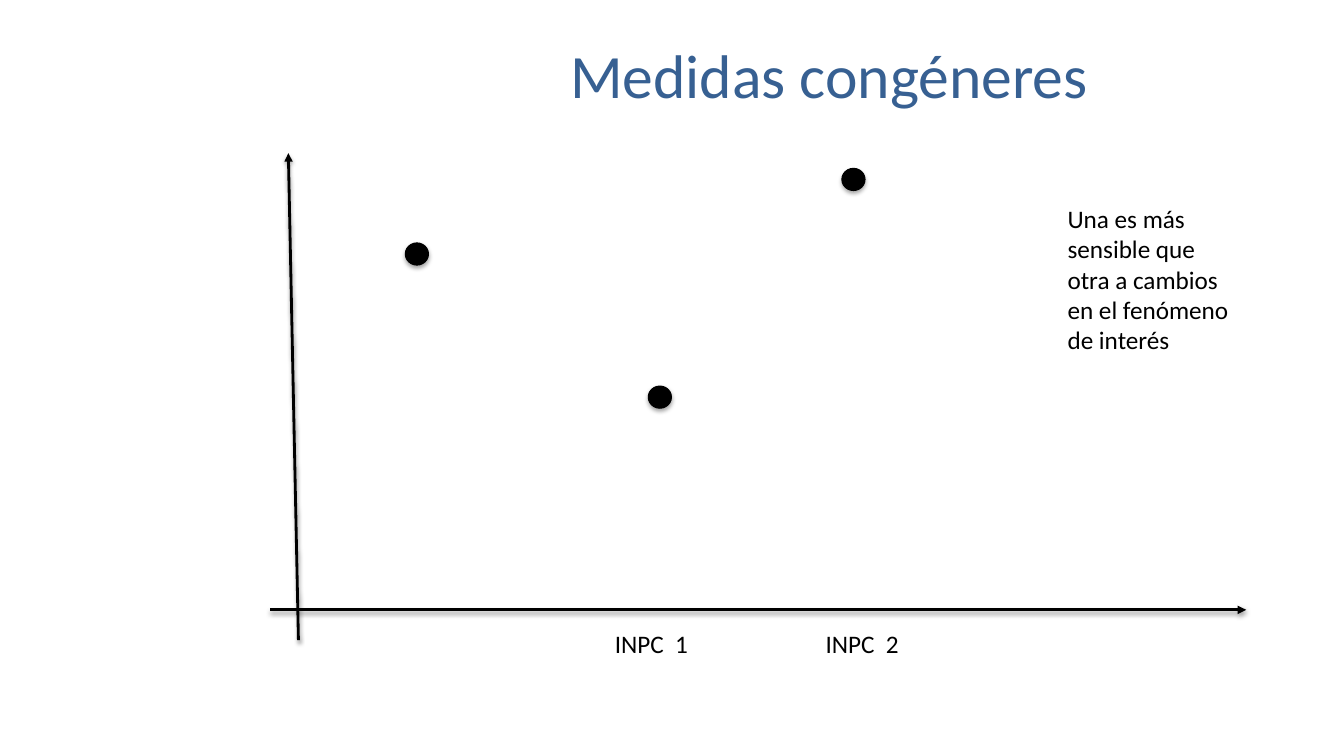
from dataclasses import dataclass

import pptx
import pptx.dml.color
import pptx.enum.shapes
import pptx.enum.text
import pptx.oxml
import pptx.oxml.ns
import pptx.util
from pptx.util import Inches

BLACK = "000000"
TITLE_BLUE = "376092"
DOT_WIDTH, DOT_HEIGHT = 0.23, 0.22


@dataclass
class Label:
    text: str
    left: float
    top: float
    width: float
    height: float
    size: int = 18
    color: str = BLACK
    centered: bool = False


@dataclass
class Axis:
    start: tuple[float, float]
    end: tuple[float, float]


@dataclass
class Dot:
    left: float
    top: float


LABELS = [
    Label("Medidas congéneres", 3.78, 0.3, 8.89, 0.86, 44, TITLE_BLUE, True),
    Label("INPC  1", 6, 6.18, 1.2, 0.4),
    Label("INPC  2", 8.09, 6.18, 1.2, 0.4),
    Label("Una es más sensible que otra a cambios en el fenómeno de interés",
          10.49, 1.97, 1.87, 1.62),
]
AXES = [Axis((2.96, 6.35), (2.86, 1.52)), Axis((2.68, 6.05), (12.36, 6.05))]
DOTS = [Dot(4.02, 2.41), Dot(6.43, 3.83), Dot(8.35, 1.67)]


def rgb(color: str) -> pptx.dml.color.RGBColor:
    return pptx.dml.color.RGBColor.from_string(color)


def add_shadow(properties, opacity: int, distance: float) -> None:
    properties.append(pptx.oxml.parse_xml(
        f'<a:effectLst {pptx.oxml.ns.nsdecls("a")}>'
        f'<a:outerShdw blurRad="{pptx.util.Pt(3.1)}" dist="{pptx.util.Pt(distance)}" '
        f'dir="5400000" rotWithShape="0"><a:srgbClr val="{BLACK}">'
        f'<a:alpha val="{opacity * 1000}"/></a:srgbClr></a:outerShdw></a:effectLst>'))


def draw_label(slide, label: Label) -> None:
    box = slide.shapes.add_textbox(Inches(label.left), Inches(label.top),
                                   Inches(label.width), Inches(label.height))
    frame = box.text_frame
    frame.word_wrap = True
    paragraph = frame.paragraphs[0]
    if label.centered:
        frame.vertical_anchor = pptx.enum.text.MSO_ANCHOR.MIDDLE
        paragraph.alignment = pptx.enum.text.PP_ALIGN.CENTER
    else:
        frame.auto_size = pptx.enum.text.MSO_AUTO_SIZE.SHAPE_TO_FIT_TEXT
    run = paragraph.add_run()
    run.text = label.text
    run.font.name = "Calibri"
    run.font.size = pptx.util.Pt(label.size)
    run.font.color.rgb = rgb(label.color)


def draw_axis(slide, axis: Axis) -> None:
    arrow = slide.shapes.add_connector(
        pptx.enum.shapes.MSO_CONNECTOR.STRAIGHT,
        *(Inches(value) for value in axis.start + axis.end))
    arrow.line.color.rgb = rgb(BLACK)
    arrow.line.width = pptx.util.Pt(2)
    arrow.line._get_or_add_ln().append(pptx.oxml.parse_xml(
        f'<a:tailEnd {pptx.oxml.ns.nsdecls("a")} type="triangle"/>'))
    add_shadow(arrow._element.spPr, 38, 1.6)


def draw_dot(slide, dot: Dot) -> None:
    point = slide.shapes.add_shape(
        pptx.enum.shapes.MSO_SHAPE.OVAL, Inches(dot.left), Inches(dot.top),
        Inches(DOT_WIDTH), Inches(DOT_HEIGHT))
    point.fill.solid()
    point.fill.fore_color.rgb = rgb(BLACK)
    point.line.color.rgb = rgb(BLACK)
    point.line.width = pptx.util.Pt(0.75)
    add_shadow(point._element.spPr, 35, 1.8)


def main() -> None:
    presentation = pptx.Presentation()
    presentation.slide_width = Inches(13.33)
    presentation.slide_height = Inches(7.5)
    slide = presentation.slides.add_slide(presentation.slide_layouts[6])
    for label in LABELS:
        draw_label(slide, label)
    for axis in AXES:
        draw_axis(slide, axis)
    for dot in DOTS:
        draw_dot(slide, dot)
    presentation.save("out.pptx")


if __name__ == "__main__":
    main()
